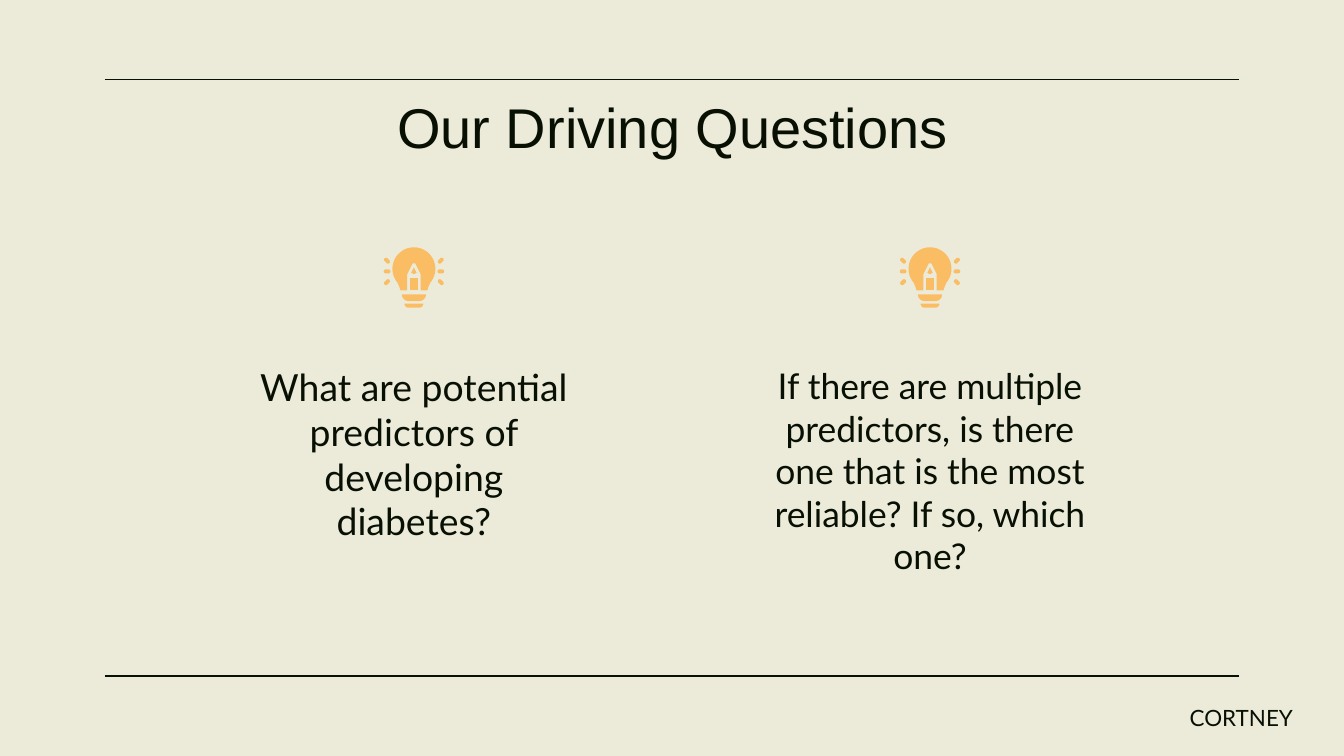
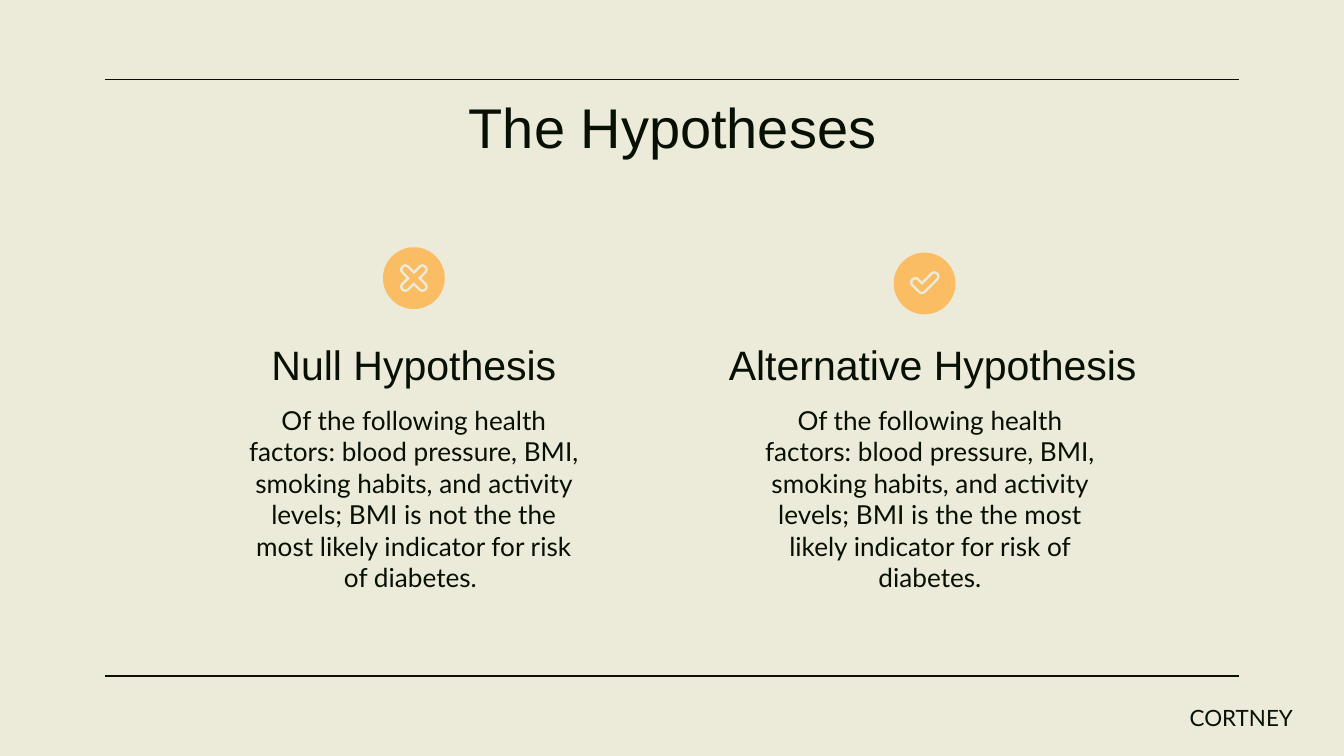
import math
from dataclasses import dataclass

import pptx
import pptx.dml.color
import pptx.enum.shapes
import pptx.enum.text
import pptx.oxml.ns
import pptx.util
from lxml import etree

Inches = pptx.util.Inches
ALIGN = pptx.enum.text.PP_ALIGN
ANCHOR = pptx.enum.text.MSO_ANCHOR


@dataclass(frozen=True)
class Theme:
    paper: str = "ECEBDA"
    ink: str = "081004"
    accent: str = "FABD63"
    head_font: str = "Arial"
    body_font: str = "Lato"
    title_size: int = 30
    heading_size: int = 22
    body_size: int = 14
    footer_size: int = 12
    rule_width: float = 0.75


THEME = Theme()
COLUMNS = (3.08, 6.92)  # column centres
COLUMN_WIDTH = 2.74
ICON_Y = 2.07


def rgb(value):
    return pptx.dml.color.RGBColor.from_string(value)


# Text

def set_text(sp, text, size, font, align=ALIGN.CENTER, anchor=ANCHOR.TOP):
    tf = sp.text_frame
    tf.word_wrap = True
    tf.auto_size = pptx.enum.text.MSO_AUTO_SIZE.NONE
    tf.vertical_anchor = anchor
    tf.margin_left = tf.margin_right = Inches(0.1)
    tf.margin_top = tf.margin_bottom = Inches(0.1)
    p = tf.paragraphs[0]
    p.text = text
    p.alignment = align
    p.font.size = pptx.util.Pt(size)
    p.font.name = font
    p.font.color.rgb = rgb(THEME.ink)


def add_text(s, box, *args, **kwargs):
    sp = s.shapes.add_textbox(*map(Inches, box))
    set_text(sp, *args, **kwargs)


def add_body(s, center, top, text, size):
    box = (center - COLUMN_WIDTH / 2, top, COLUMN_WIDTH, 1.86)
    add_text(s, box, text, size, THEME.body_font)


def add_heading(s, center, width, text):
    add_text(s, (center - width / 2, 2.38, width, 0.61), text,
             THEME.heading_size, THEME.head_font, anchor=ANCHOR.BOTTOM)


# Slide frame

def add_rule(s, y):
    line = s.shapes.add_connector(
        pptx.enum.shapes.MSO_CONNECTOR.STRAIGHT,
        Inches(0.78), Inches(y), Inches(9.22), Inches(y))
    line.line.color.rgb = rgb(THEME.ink)
    line.line.width = pptx.util.Pt(THEME.rule_width)
    sp_pr = line._element.spPr
    etree.SubElement(sp_pr, pptx.oxml.ns.qn("a:effectLst"))


def add_slide(prs, title):
    s = prs.slides.add_slide(prs.slide_layouts[5])
    for y in (0.59, 5.03):
        add_rule(s, y)
    sp = s.shapes.title
    sp.left, sp.top, sp.width, sp.height = map(
        Inches, (0.79, 0.59, 8.43, 0.63))
    set_text(sp, title, THEME.title_size, THEME.head_font)
    add_text(s, (7.36, 5.14, 2.36, 0.34), "CORTNEY", THEME.footer_size,
             THEME.body_font, align=ALIGN.RIGHT)
    return s


# Outlines, in inches from the icon centre

def polar(center, radius, angle):
    a = math.radians(angle)
    return (center[0] + radius * math.cos(a),
            center[1] + radius * math.sin(a))


def arc(center, radius, start, end, steps=12):
    return [polar(center, radius, start + (end - start) * i / steps)
            for i in range(steps + 1)]


def round_arms(hub, arms, radius):
    """Outline of round-ended arms, (angle, length) each, from one hub."""
    points = []
    for i, (angle, length) in enumerate(arms):
        points += arc(polar(hub, length, angle), radius, angle - 90, angle + 90)
        following = arms[(i + 1) % len(arms)][0]
        gap = (following - angle) % 360
        if gap <= 180:
            reach = radius / math.sin(math.radians(gap / 2))
            points.append(polar(hub, reach, angle + gap / 2))
        else:
            points += arc(hub, radius, angle + 90, angle + gap - 90)
    return points


def cup(half, top, height):
    """Flat-topped outline with two rounded lower corners."""
    inset = half - height
    return (arc((inset, top), height, 0, 90)
            + arc((-inset, top), height, 90, 180))


def mirrored(points):
    return points + [(-x, y) for x, y in reversed(points)]


def add_outline(group, center, *contours):
    placed = [[(Inches(center[0] + x), Inches(center[1] + y))
               for x, y in contour] for contour in contours]
    builder = group.shapes.build_freeform(*placed[0][0], scale=1.0)
    for i, points in enumerate(placed):
        if i:
            builder.move_to(*points[0])
        builder.add_line_segments(points[1:], close=True)
    sp = builder.convert_to_shape()
    sp.shadow.inherit = False
    sp.fill.solid()
    sp.fill.fore_color.rgb = rgb(THEME.accent)
    sp.line.fill.background()


# Icons

def add_bulb(s, center):
    group = s.shapes.add_group_shape()
    # Rays
    for side in (-1, 1):
        for y, tilt in ((-0.13, -45), (-0.05, 0), (0.03, 45)):
            angle = side * tilt
            ray = round_arms((side * 0.2, y),
                             [(angle, 0.01), (angle + 180, 0.01)], 0.015)
            add_outline(group, center, ray)
    # Glass with a pencil-shaped notch
    glass = arc((0, -0.07), 0.16, 140, 400, 36)
    right_edge = [(0.11, 0.06), (0.1, 0.09), (0.05, 0.09),
                  (0.05, -0.03), (0.01, -0.11)]
    add_outline(group, center, glass + mirrored(right_edge))
    # Pencil
    add_outline(group, center, mirrored([(0.03, 0), (0.03, 0.09)]))
    add_outline(group, center,
                [(0, -0.08), (0.02, -0.04), (0, -0.03), (-0.02, -0.04)])
    # Screw base
    add_outline(group, center, cup(0.09, 0.12, 0.05))
    add_outline(group, center, cup(0.07, 0.19, 0.03))


def add_badge(s, center, hub, arms):
    group = s.shapes.add_group_shape()
    disc = arc((0, 0), 0.23, 0, 360, 48)
    add_outline(group, center, disc, round_arms(hub, arms, 0.04))
    add_outline(group, center, round_arms(hub, arms, 0.02))


def add_cross(s, center):
    add_badge(s, center, (0, 0), [(a, 0.09) for a in (45, 135, 225, 315)])


def add_check(s, center):
    add_badge(s, center, (-0.02, 0.04), [(225, 0.07), (315, 0.13)])


# Slides

def questions_slide(prs):
    s = add_slide(prs, "Our Driving Questions")
    questions = (
        ("What are potential predictors of developing diabetes?", 20),
        ("If there are multiple predictors, is there one that is the most "
         "reliable? If so, which one?", 19),
    )
    for x, (text, size) in zip(COLUMNS, questions):
        add_body(s, x, 2.61, text, size)
        add_bulb(s, (x, ICON_Y))


def hypotheses_slide(prs):
    s = add_slide(prs, "The Hypotheses")
    left, right = COLUMNS
    add_heading(s, left, COLUMN_WIDTH, "Null Hypothesis")
    add_heading(s, 6.94, 3.52, "Alternative Hypothesis")
    for x, verb, end in ((left, "is not", ". "), (right, "is", ".")):
        add_body(s, x, 2.91,
                 "Of the following health factors: blood pressure, BMI, "
                 f"smoking habits, and activity levels; BMI {verb} the the "
                 f"most likely indicator for risk of diabetes{end}",
                 THEME.body_size)
    add_cross(s, (left, ICON_Y))
    add_check(s, (6.88, 2.11))


def main():
    prs = pptx.Presentation()
    prs.slide_width = Inches(10)
    prs.slide_height = prs.slide_width * 9 // 16
    fill = prs.slide_master.background.fill
    fill.solid()
    fill.fore_color.rgb = rgb(THEME.paper)
    questions_slide(prs)
    hypotheses_slide(prs)
    prs.save("out.pptx")


if __name__ == "__main__":
    main()
